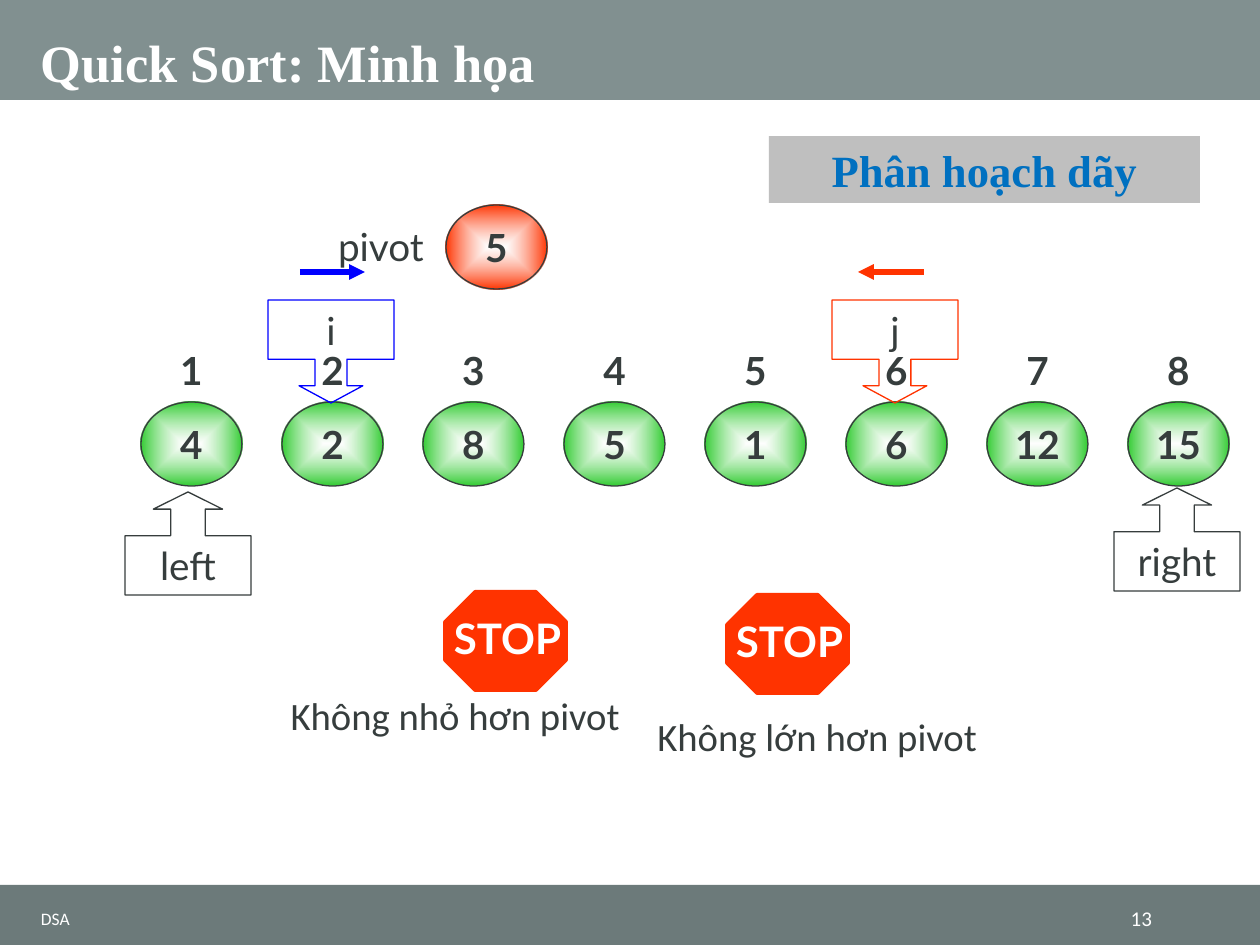
from lxml import etree
from pptx import Presentation, util as u
from pptx.dml.color import RGBColor
from pptx.enum import shapes, text
from pptx.oxml import parse_xml
from pptx.oxml.ns import nsdecls, qn

SCALE = 914400 / 126  # EMU per px
KIND = shapes.MSO_SHAPE
ALIGN = text.PP_ALIGN
ANCHOR = text.MSO_ANCHOR
INK, WHITE, RED, BLUE, GREEN = "363D3D", "FFFFFF", "FF3300", "0000FF", "33CC33"
INSETS = (13, 6, 13, 6)

VALUES = [4, 2, 8, 5, 1, 6, 12, 15]
FIRST_LEFT, PITCH = 141, 141
BALL_WIDTH, BALL_HEIGHT = 101, 84
VALUE_TOP, INDEX_TOP = 402, 328

BANDS = [((0, 0, 1260, 100), "819090"), ((0, 885, 1260, 60), "6C7A7A")]
BOUNDS = [("left", 125, 492), ("right", 1114, 488)]
# name, callout left, arrow start x, arrow end x, colour
CURSORS = [("i", 268, 300, 365, BLUE), ("j", 832, 924, 858, RED)]
CURSOR_TOP, ARROW_Y = 300, 272
CALLOUT_WIDTH, CALLOUT_HEIGHT = 126, 103
# octagon left and top, caption, caption left and top
STOPS = [
    (445, 592, "Không nhỏ hơn pivot", 268, 685),
    (727, 595, "Không lớn hơn pivot", 630, 707),
]

presentation = Presentation()


def px(length):
    return u.Emu(round(length * SCALE))


def colour(value):
    return RGBColor.from_string(value)


presentation.slide_width, presentation.slide_height = px(1260), px(945)
slide = presentation.slides.add_slide(presentation.slide_layouts[6])


def write(shape, words, size=22.1, font="Lato", ink=INK, bold=False,
          align=ALIGN.CENTER, anchor=ANCHOR.MIDDLE, insets=INSETS, wrap=True):
    frame = shape.text_frame
    frame.word_wrap = wrap
    frame.vertical_anchor = anchor
    (frame.margin_left, frame.margin_top,
     frame.margin_right, frame.margin_bottom) = map(px, insets)
    paragraph = frame.paragraphs[0]
    paragraph.text = str(words)
    paragraph.alignment = align
    paragraph.font.size = u.Pt(size)
    paragraph.font.name = font
    paragraph.font.bold = bold
    paragraph.font.color.rgb = colour(ink)
    return paragraph


def add_text(box, words, **style):
    return write(slide.shapes.add_textbox(*map(px, box)), words, **style)


def add_shape(kind, box, fill=None, line=None, width=0.75, adjustments=()):
    shape = slide.shapes.add_shape(kind, *map(px, box))
    shape.shadow.inherit = False
    for index, value in enumerate(adjustments):
        shape.adjustments[index] = value
    if fill:
        shape.fill.solid()
        shape.fill.fore_color.rgb = colour(fill)
    else:
        shape.fill.background()
    if line:
        shape.line.color.rgb = colour(line)
        shape.line.width = u.Pt(width)
    else:
        shape.line.fill.background()
    return shape


def add_ball(left, top, value, edge):
    """Circle shaded from a translucent white centre to the edge colour."""
    ball = add_shape(KIND.OVAL, (left, top, BALL_WIDTH, BALL_HEIGHT), line=INK)
    gradient = parse_xml(
        f'<a:gradFill {nsdecls("a")} rotWithShape="1"><a:gsLst>'
        f'<a:gs pos="0"><a:srgbClr val="{WHITE}"><a:alpha val="60000"/></a:srgbClr></a:gs>'
        f'<a:gs pos="100000"><a:srgbClr val="{edge}"/></a:gs></a:gsLst>'
        '<a:path path="shape"><a:fillToRect l="50000" t="50000" r="50000" b="50000"/>'
        '</a:path></a:gradFill>')
    properties = ball.element.spPr
    properties.replace(properties.find(qn("a:noFill")), gradient)
    write(ball, value, bold=True, insets=(0, 0, 0, 0))


def add_callout(kind, left, top, words, line, shaft):
    callout = add_shape(kind, (left, top, CALLOUT_WIDTH, CALLOUT_HEIGHT),
                        line=line, adjustments=(shaft, shaft, 0.167, 0.575))
    write(callout, words)


def add_arrow(start, end, y, line):
    arrow = slide.shapes.add_connector(
        shapes.MSO_CONNECTOR.STRAIGHT, px(start), px(y), px(end), px(y))
    arrow.line.color.rgb = colour(line)
    arrow.line.width = u.Pt(3)
    etree.SubElement(arrow.line._get_or_add_ln(), qn("a:tailEnd"), type="triangle")
    etree.SubElement(arrow.element.spPr, qn("a:effectLst"))


for box, fill in BANDS:
    add_shape(KIND.RECTANGLE, box, fill)
title = add_text((28, 0, 1206, 100), "Quick Sort: Minh họa", size=30,
                 font="Times New Roman", ink=WHITE, bold=True,
                 align=ALIGN.LEFT, anchor=ANCHOR.BOTTOM)
title.line_spacing = 0.9

for index, value in enumerate(VALUES):
    left = FIRST_LEFT + index * PITCH
    add_ball(left, VALUE_TOP, value, GREEN)
    add_text((left, INDEX_TOP, BALL_WIDTH, BALL_HEIGHT), index + 1, bold=True)

for name, left, top in BOUNDS:
    add_callout(KIND.UP_ARROW_CALLOUT, left, top, name, INK, 0.336)

add_ball(446, 205, 5, RED)
add_text((325, 217, 156, 59), "pivot", align=ALIGN.LEFT)

for name, left, start, end, line in CURSORS:
    add_callout(KIND.DOWN_ARROW_CALLOUT, left, CURSOR_TOP, name, line, 0.31)
    add_arrow(start, end, ARROW_Y, line)

for left, top, caption, caption_left, caption_top in STOPS:
    sign = add_shape(KIND.OCTAGON, (left, top, 121, 98), RED, RED, 2.25, (0.307,))
    write(sign, "STOP", size=24, ink=WHITE, bold=True, insets=(4, 3, 0, 9), wrap=False)
    add_text((caption_left, caption_top, 374, 59), caption, font="Calibri",
             insets=(0, 6, 0, 6))

heading = add_shape(KIND.RECTANGLE, (769, 136, 431, 67), "BFBFBF")
write(heading, "Phân hoạch dãy", size=25.5, font="Times New Roman", ink="0070C0", bold=True)

add_text((28, 902, 876, 33), "DSA", size=10, font="Calibri", ink=WHITE, align=ALIGN.LEFT)
add_text((1067, 902, 98, 33), "13", size=12, font="Calibri", ink=WHITE, align=ALIGN.RIGHT)

presentation.save("out.pptx")
